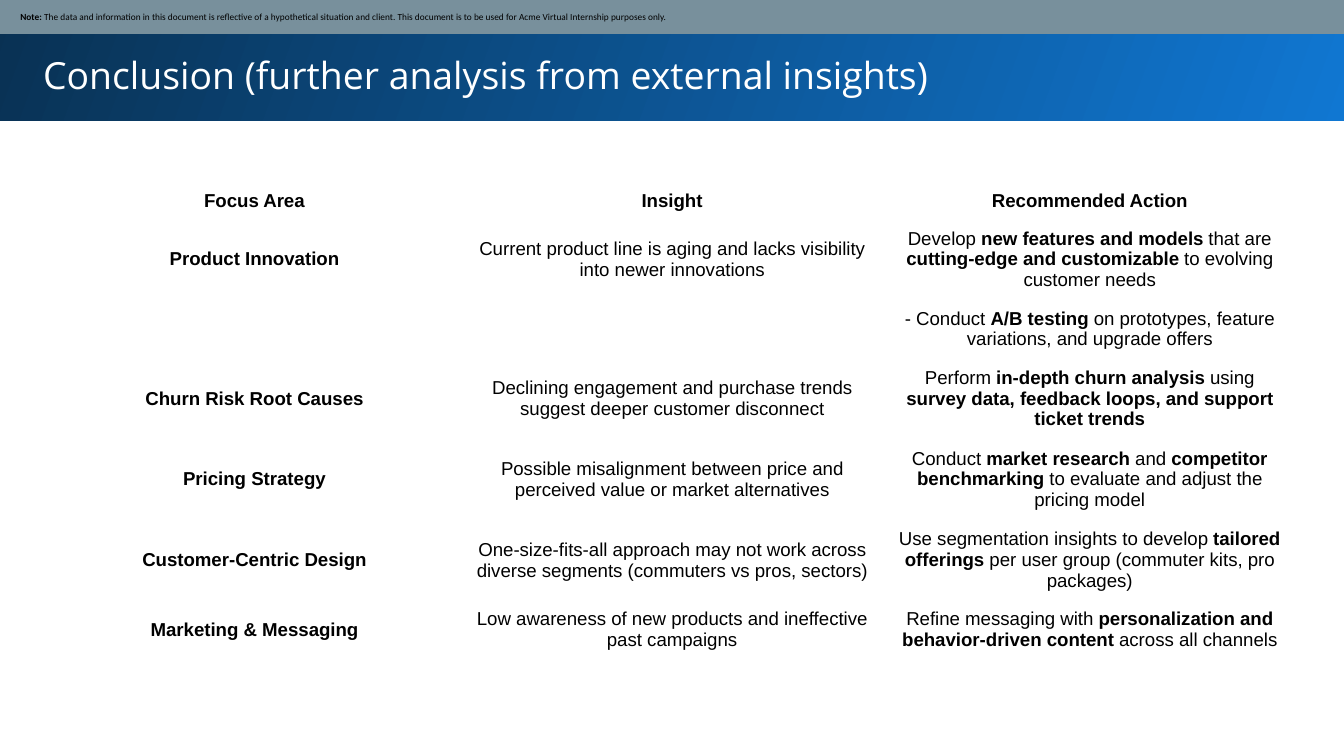
from dataclasses import dataclass

from pptx import Presentation
from pptx.dml.color import RGBColor
from pptx.enum.shapes import MSO_SHAPE
from pptx.enum.text import MSO_ANCHOR, MSO_AUTO_SIZE, PP_ALIGN
from pptx.util import Pt

RECT = MSO_SHAPE.RECTANGLE
LEFT, CENTER = PP_ALIGN.LEFT, PP_ALIGN.CENTER
MIDDLE = MSO_ANCHOR.MIDDLE
GROW = MSO_AUTO_SIZE.SHAPE_TO_FIT_TEXT


@dataclass(frozen=True)
class Theme:
    white: RGBColor = RGBColor(0xFF, 0xFF, 0xFF)
    black: RGBColor = RGBColor(0, 0, 0)
    blue: RGBColor = RGBColor(0x10, 0x77, 0xD2)
    navy: RGBColor = RGBColor(0x09, 0x31, 0x53)
    slate: RGBColor = RGBColor(0x78, 0x90, 0x9C)
    title_font: str = "Open Sans"
    note_font: str = "Calibri"
    body_font: str = "Arial"
    title_size: float = 20
    note_size: float = 5
    body_size: float = 10


THEME = Theme()

TITLE = "Conclusion (further analysis from external insights)"
NOTE = ("**Note: **The data and information in this document is reflective of a "
        "hypothetical situation and client. This document is to be used for "
        "Acme Virtual Internship purposes only.")

# Text between double asterisks is bold.
ROWS = [
    ("**Focus Area**", "**Insight**", "**Recommended Action**"),
    ("**Product Innovation**",
     "Current product line is aging and lacks visibility into newer innovations",
     "Develop **new features and models** that are "
     "**cutting-edge and customizable** to evolving customer needs"),
    ("", "",
     "- Conduct **A/B testing** on prototypes, feature variations, and upgrade offers"),
    ("**Churn Risk Root Causes**",
     "Declining engagement and purchase trends suggest deeper customer disconnect",
     "Perform **in-depth churn analysis** using "
     "**survey data, feedback loops, and support ticket trends**"),
    ("**Pricing Strategy**",
     "Possible misalignment between price and perceived value or market alternatives",
     "Conduct **market research** and **competitor benchmarking** "
     "to evaluate and adjust the pricing model"),
    ("**Customer-Centric Design**",
     "One-size-fits-all approach may not work across diverse segments "
     "(commuters vs pros, sectors)",
     "Use segmentation insights to develop **tailored offerings** "
     "per user group (commuter kits, pro packages)"),
    ("**Marketing & Messaging**",
     "Low awareness of new products and ineffective past campaigns",
     "Refine messaging with **personalization and behavior-driven content** "
     "across all channels"),
]
COL_WIDTH = 223.75
ONE_LINE, TWO_LINES, THREE_LINES = 19.5, 31, 43.2
ROW_HEIGHTS = [ONE_LINE, THREE_LINES, TWO_LINES, THREE_LINES,
               THREE_LINES, THREE_LINES, TWO_LINES]


def add_runs(p, text, font, size, color, align=LEFT):
    """Add text to a paragraph, with the parts between ** in bold."""
    p.alignment = align
    for i, part in enumerate(text.split("**")):
        if part:
            r = p.add_run()
            r.text = part
            r.font.name = font
            r.font.size = Pt(size)
            r.font.color.rgb = color
            r.font.bold = i % 2 == 1


def set_margins(tf, margin):
    tf.margin_left = tf.margin_right = Pt(margin)
    tf.margin_top = tf.margin_bottom = Pt(margin)


def add_band(s, x, y, w, h):
    sp = s.shapes.add_shape(RECT, Pt(x), Pt(y), Pt(w), Pt(h))
    sp.shadow.inherit = False
    sp.line.fill.background()
    return sp


def add_title_band(s):
    sp = add_band(s, -1.5, -1.5, 723.5, 66.2)
    sp.fill.gradient()
    sp.fill.gradient_angle = 160
    for stop, color, position in zip(sp.fill.gradient_stops,
                                     (THEME.blue, THEME.navy), (0, 1)):
        stop.color.rgb = color
        stop.position = position


def add_title(s):
    sp = s.shapes.add_textbox(Pt(16), Pt(20.9), Pt(674.6), Pt(38.9))
    tf = sp.text_frame
    tf.word_wrap = True
    tf.auto_size = GROW
    set_margins(tf, 7.2)
    add_runs(tf.paragraphs[0], TITLE, THEME.title_font, THEME.title_size, THEME.white)


def add_note_band(s):
    sp = add_band(s, -0.7, -0.7, 722, 18.9)
    sp.fill.solid()
    sp.fill.fore_color.rgb = THEME.slate
    tf = sp.text_frame
    tf.word_wrap = True
    tf.vertical_anchor = MIDDLE
    set_margins(tf, 3.6)
    tf.margin_left = Pt(11.6)
    add_runs(tf.paragraphs[0], NOTE, THEME.note_font, THEME.note_size, THEME.black)


def add_insight_table(s):
    cols = len(ROWS[0])
    frame = s.shapes.add_table(len(ROWS), cols, Pt(24.4), Pt(97.9),
                               Pt(COL_WIDTH * cols), Pt(sum(ROW_HEIGHTS)))
    table = frame.table
    table.first_row = table.horz_banding = False
    for col in table.columns:
        col.width = Pt(COL_WIDTH)
    for row, height, texts in zip(table.rows, ROW_HEIGHTS, ROWS):
        row.height = Pt(height)
        for cell, text in zip(row.cells, texts):
            cell.fill.background()
            cell.vertical_anchor = MIDDLE
            add_runs(cell.text_frame.paragraphs[0], text, THEME.body_font,
                     THEME.body_size, THEME.black, CENTER)


def main():
    prs = Presentation()
    prs.slide_width, prs.slide_height = Pt(720), Pt(405)
    s = prs.slides.add_slide(prs.slide_layouts[6])
    s.background.fill.solid()
    s.background.fill.fore_color.rgb = THEME.white
    add_title_band(s)
    add_title(s)
    add_note_band(s)
    add_insight_table(s)
    prs.save("out.pptx")


if __name__ == "__main__":
    main()
